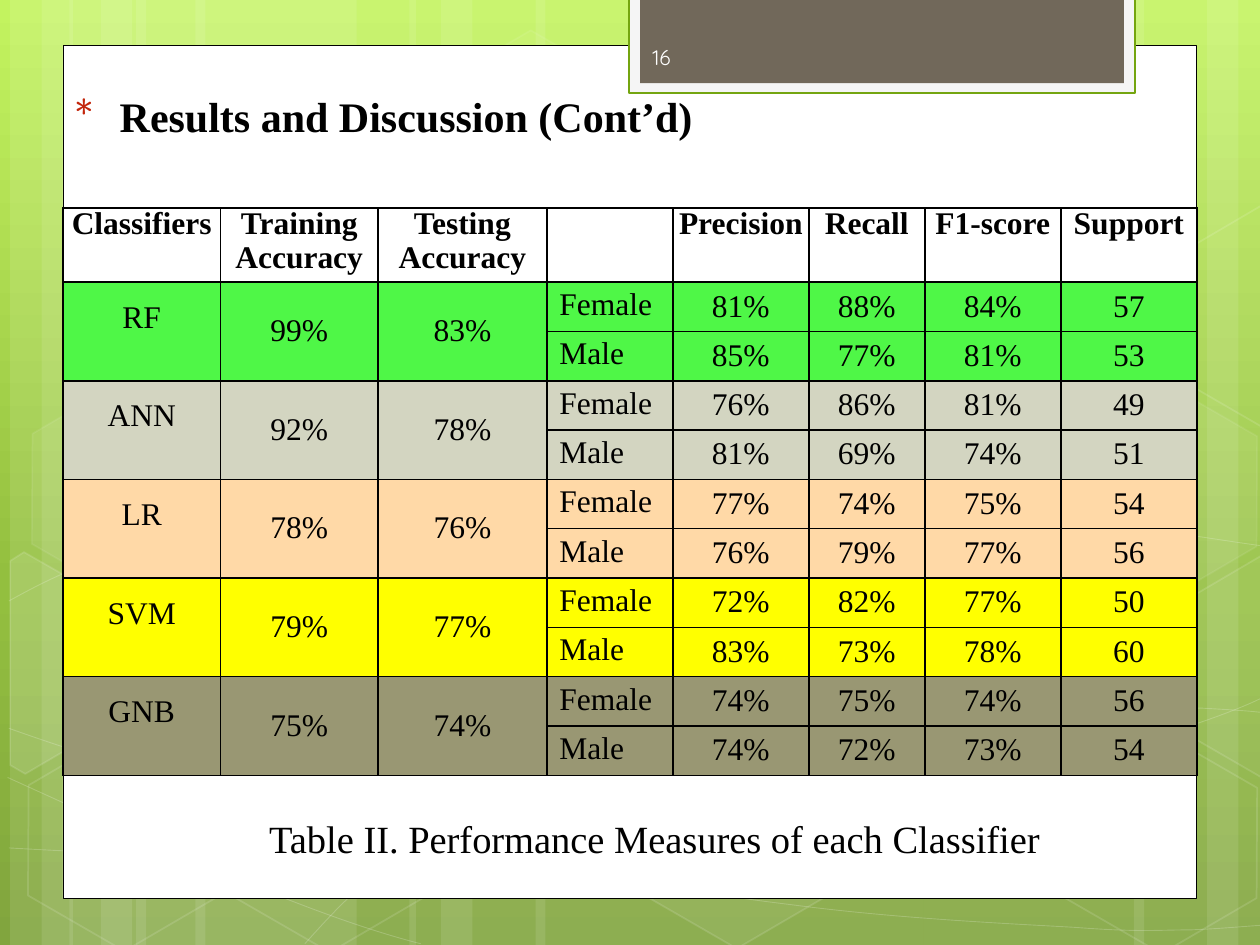
"""Build the classifier results slide with its green layered background."""
from copy import deepcopy
from dataclasses import dataclass
from math import cos, radians, sin
from typing import Optional

from lxml.etree import SubElement
from pptx import Presentation
from pptx.dml.color import RGBColor
from pptx.enum.shapes import MSO_SHAPE as Preset
from pptx.enum.text import MSO_ANCHOR as Anchor, MSO_AUTO_SIZE as AutoSize, PP_ALIGN as Align
from pptx.oxml.ns import qn
from pptx.util import Inches, Pt

COLORS = {
    "white": "FFFFFF", "black": "000000", "lime": "C3F35F", "leaf": "93BF3F",
    "moss": "81A53E", "tab": "F5F5F5", "tab_line": "74A510", "taupe": "71685A",
    "number": "FEFEFE", "bullet": "C3260C", "RF": "4FF747", "ANN": "D3D5C1",
    "LR": "FFD9A7", "SVM": "FFFF00", "GNB": "999773",
}
SERIF, SANS = "Times New Roman", "Quicksand"
TILT = 30
Points = list[tuple[float, float]]


@dataclass
class Paint:
    fill: Optional[str] = None
    fill_alpha: int = 100
    line: Optional[str] = None
    width: float = 1
    line_alpha: int = 100


@dataclass
class Hexagon:
    left: float
    top: float
    fill_alpha: int
    line_alpha: int


@dataclass
class Classifier:
    name: str
    training: str
    testing: str
    female: list[str]
    male: list[str]


GRADIENT = [(0, "lime"), (0.62, "leaf"), (1, "moss")]
BANDS = [(1.08, 1.75), (0.08, 0.5), (0.33, 0.83), (1.55, 1.75), (0.55, 0.5), (0.8, 0.83),
         (7.33, 1.75), (9.58, 0.5), (9, 0.83), (4.25, 3.08), (3.25, 0.5), (3.5, 0.83)]
CURVES = [
    [(0.07, 6.73), (0.61, 6.76), (1.15, 6.79), (1.9, 6.78), (2.65, 6.77), (3.58, 6.75),
     (4.58, 6.65), (5.58, 6.55), (7, 6.36), (7.92, 6.17), (8.83, 5.98), (9.77, 5.68), (10.07, 5.51)],
    [(0.07, 4.77), (0.36, 4.61), (0.65, 4.46), (1.21, 4.31), (1.78, 4.16), (2.59, 3.94),
     (3.47, 3.87), (4.36, 3.8), (5.44, 3.79), (6.54, 3.87), (7.64, 3.95), (9.47, 4.26), (10.07, 4.34)],
    [(0.06, 6.17), (1.27, 6.72), (2.47, 7.27), (3.34, 7.49)],
    [(0.07, 5.78), (0.38, 5.89), (0.7, 6), (1.28, 6.16), (1.86, 6.31), (2.73, 6.56),
     (3.57, 6.73), (4.4, 6.9), (5.45, 7.08), (6.28, 7.18), (7.11, 7.29), (8, 7.33),
     (8.53, 7.36), (9.05, 7.4), (9.19, 7.38), (9.45, 7.38), (9.71, 7.37), (9.89, 7.35), (10.07, 7.34)],
    [(2.42, 7.49), (2.6, 7.29), (2.78, 7.09), (3.02, 6.91), (3.26, 6.73), (3.6, 6.53),
     (3.88, 6.39), (4.16, 6.25), (4.33, 6.19), (4.7, 6.09), (5.06, 5.99), (5.73, 5.85),
     (6.08, 5.78), (6.44, 5.71), (6.49, 5.71), (6.8, 5.69), (7.11, 5.66), (7.6, 5.63),
     (7.94, 5.62), (8.29, 5.61), (8.86, 5.62), (8.86, 5.62), (9.08, 5.62), (9.31, 5.62),
     (9.53, 5.62), (9.71, 5.63), (9.88, 5.64), (9.97, 5.65), (10.06, 5.66), (10.03, 5.65), (10.06, 5.66)],
]
HEXAGONS = [
    Hexagon(3.34, 0.36, 4, 8), Hexagon(4.97, 5.89, 6, 12), Hexagon(0.11, 5.91, 0, 12),
    Hexagon(0.14, 3.12, 7, 8), Hexagon(1.74, 5.92, 0, 12), Hexagon(7.53, 4.53, 10, 12),
    Hexagon(8.34, 5.93, 0, 12), Hexagon(8.34, 3.14, 7, 8),
]
LEFT_PIECE = [(0.08, 4.45), (0.19, 4.38), (0.96, 4.82), (0.95, 5.7), (0.2, 6.14), (0.08, 6.07)]
RIGHT_PIECE = [(9.26, 4.85), (10.01, 4.41), (10.09, 4.46), (10.09, 6.13), (10.02, 6.17), (9.26, 5.73)]
UPPER_PIECE = [(x, y - 2.78) for x, y in RIGHT_PIECE]
PIECES = [(LEFT_PIECE, (0.36, 5.35), 10), (RIGHT_PIECE, (9.85, 5.2), 4), (UPPER_PIECE, (9.85, 2.41), 0)]
HEADERS = ["Classifiers", "Training Accuracy", "Testing\nAccuracy", "",
           "Precision", "Recall", "F1-score", "Support"]
CLASSIFIERS = [
    Classifier("RF", "99%", "83%", ["81%", "88%", "84%", "57"], ["85%", "77%", "81%", "53"]),
    Classifier("ANN", "92%", "78%", ["76%", "86%", "81%", "49"], ["81%", "69%", "74%", "51"]),
    Classifier("LR", "78%", "76%", ["77%", "74%", "75%", "54"], ["76%", "79%", "77%", "56"]),
    Classifier("SVM", "79%", "77%", ["72%", "82%", "77%", "50"], ["83%", "73%", "78%", "60"]),
    Classifier("GNB", "75%", "74%", ["74%", "75%", "74%", "56"], ["74%", "72%", "73%", "54"]),
]
COLUMNS = [1.25, 1.25, 1.34, 1, 1.08, 0.92, 1.08, 1.08]
ROWS = [0.59] + [0.37] * 2 + [0.39] * 8


def rgb(name: str) -> RGBColor:
    return RGBColor.from_string(COLORS[name])


def set_alpha(parent, percent: int) -> None:
    if percent < 100:
        color = parent.find(qn("a:solidFill")).find(qn("a:srgbClr"))
        SubElement(color, qn("a:alpha"), val=str(percent * 1000))


def apply_paint(shape, paint: Paint) -> None:
    shape.shadow.inherit = False
    properties = shape.element.spPr
    if paint.fill and paint.fill_alpha:
        shape.fill.solid()
        shape.fill.fore_color.rgb = rgb(paint.fill)
        set_alpha(properties, paint.fill_alpha)
    else:
        shape.fill.background()
    if paint.line:
        shape.line.color.rgb = rgb(paint.line)
        shape.line.width = Pt(paint.width)
        set_alpha(properties.find(qn("a:ln")), paint.line_alpha)
    else:
        shape.line.fill.background()


def add_preset(slide, preset, box: tuple, paint: Paint):
    shape = slide.shapes.add_shape(preset, *map(Inches, box))
    apply_paint(shape, paint)
    return shape


def add_outline(slide, points: Points, paint: Paint, close: bool):
    corners = [(Inches(x), Inches(y)) for x, y in points]
    builder = slide.shapes.build_freeform(*corners[0])
    builder.add_line_segments(corners[1:], close=close)
    shape = builder.convert_to_shape()
    apply_paint(shape, paint)
    return shape


def add_curve(slide, points: Points, paint: Paint) -> None:
    shape = add_outline(slide, points, paint, False)
    outline = next(shape.element.iter(qn("a:path")))
    segments = outline.findall(qn("a:lnTo"))
    for index in range(0, len(segments), 3):
        curve = SubElement(outline, qn("a:cubicBezTo"))
        for segment in segments[index:index + 3]:
            curve.append(segment[0])
            outline.remove(segment)


def untilt(points: Points, center: tuple) -> Points:
    cosine, sine = cos(radians(TILT)), sin(radians(TILT))
    offsets = [(x - center[0], y - center[1]) for x, y in points]
    return [(center[0] + x * cosine + y * sine, center[1] - x * sine + y * cosine) for x, y in offsets]


def write_text(frame, text: str, *, size: float, font: str = SERIF, color: str = "black",
               bold: bool = False, align=Align.LEFT, spacing: float = 1.0) -> None:
    frame.text = text
    for paragraph in frame.paragraphs:
        paragraph.alignment = align
        paragraph.line_spacing = spacing
        for run in paragraph.runs:
            run.font.size = Pt(size)
            run.font.name = font
            run.font.bold = bold
            run.font.color.rgb = rgb(color)


def format_cell(cell, text: str, *, fill: Optional[str] = None, bold: bool = False,
                align=Align.CENTER, anchor=Anchor.MIDDLE, margins: tuple = (0.1, 0.05)) -> None:
    properties = cell._tc.get_or_add_tcPr()
    for side in ("L", "R", "T", "B"):
        line = SubElement(properties, qn(f"a:ln{side}"), w=str(Pt(1)))
        SubElement(SubElement(line, qn("a:solidFill")), qn("a:srgbClr"), val=COLORS["black"])
    if fill:
        cell.fill.solid()
        cell.fill.fore_color.rgb = rgb(fill)
    else:
        cell.fill.background()
    cell.vertical_anchor = anchor
    cell.margin_left = cell.margin_right = Inches(margins[0])
    cell.margin_top = cell.margin_bottom = Inches(margins[1])
    write_text(cell.text_frame, text, size=18, bold=bold, align=align, spacing=0.97)


def add_background(slide) -> None:
    fill = slide.background.fill
    fill.gradient()
    fill.gradient_angle = 270
    stops = next(slide.element.iter(qn("a:gsLst")))
    stops.append(deepcopy(stops[-1]))
    for stop, (position, color) in zip(fill.gradient_stops, GRADIENT):
        stop.position = position
        stop.color.rgb = rgb(color)
    for left, width in BANDS:
        add_preset(slide, Preset.RECTANGLE, (left, 0, width, 7.5), Paint("white", 10))
    for curve in CURVES:
        add_curve(slide, curve, Paint(line="white", width=0.5, line_alpha=20))
    for item in HEXAGONS:
        paint = Paint("white", item.fill_alpha, "white", 1, item.line_alpha)
        hexagon = add_preset(slide, Preset.HEXAGON, (item.left, item.top, 1.75, 1.52), paint)
        hexagon.adjustments[0] = 0.285
        hexagon.rotation = TILT
    for points, center, alpha in PIECES:
        piece = add_outline(slide, untilt(points, center), Paint("white", alpha, "white", 1, 12), True)
        piece.rotation = TILT


def add_results_table(slide) -> None:
    box = map(Inches, (0.5, 1.65, sum(COLUMNS), sum(ROWS)))
    table = slide.shapes.add_table(len(ROWS), len(COLUMNS), *box).table
    table.first_row = table.horz_banding = False
    for column, width in zip(table.columns, COLUMNS):
        column.width = Inches(width)
    for row, height in zip(table.rows, ROWS):
        row.height = Inches(height)
    for index, header in enumerate(HEADERS):
        format_cell(table.cell(0, index), header, bold=True, anchor=Anchor.TOP, margins=(0, 0))
    for top, item in zip(range(1, len(ROWS), 2), CLASSIFIERS):
        for index, text in enumerate((item.name, item.training, item.testing)):
            table.cell(top, index).merge(table.cell(top + 1, index))
            anchor = Anchor.MIDDLE if index else Anchor.TOP
            format_cell(table.cell(top, index), text, fill=item.name, anchor=anchor, margins=(0.15, 0.15))
            format_cell(table.cell(top + 1, index), "", fill=item.name, margins=(0, 0))
        for row, (label, values) in enumerate((("Female", item.female), ("Male", item.male)), top):
            format_cell(table.cell(row, 3), label, fill=item.name, align=Align.LEFT, anchor=Anchor.TOP)
            for index, value in enumerate(values, 4):
                format_cell(table.cell(row, index), value, fill=item.name)


def fit_frame(frame) -> None:
    frame.word_wrap = False
    frame.auto_size = AutoSize.SHAPE_TO_FIT_TEXT


def add_title(slide) -> None:
    title = slide.shapes.title
    slide.shapes.element.append(title.element)
    title.left, title.top, title.width, title.height = map(Inches, (0.5, 0.67, 5.15, 0.5))
    write_text(title.text_frame, "Results and Discussion (Cont’d)", size=24, bold=True)
    fit_frame(title.text_frame)
    title.text_frame.vertical_anchor = Anchor.TOP
    properties = title.text_frame.paragraphs[0]._p.get_or_add_pPr()
    properties.set("marL", str(Inches(0.35)))
    properties.set("indent", str(-Inches(0.35)))
    SubElement(SubElement(properties, qn("a:buClr")), qn("a:srgbClr"), val=COLORS["bullet"])
    SubElement(properties, qn("a:buSzPct"), val="128000")
    SubElement(properties, qn("a:buFont"), typeface=SANS)
    SubElement(properties, qn("a:buChar"), char="*")


def add_label(slide, text: str, box: tuple, **text_format):
    frame = slide.shapes.add_textbox(*map(Inches, box)).text_frame
    frame.vertical_anchor = Anchor.MIDDLE
    write_text(frame, text, **text_format)
    return frame


def main() -> None:
    presentation = Presentation()
    presentation.slide_width, presentation.slide_height = Inches(10), Inches(7.5)
    slide = presentation.slides.add_slide(presentation.slide_layouts[5])
    add_background(slide)
    add_preset(slide, Preset.RECTANGLE, (0.5, 0.36, 9, 6.77), Paint("white", line="black", width=0.5))
    add_preset(slide, Preset.RECTANGLE, (4.99, -0.02, 4.02, 0.76), Paint("tab", line="tab_line", width=1.25))
    add_preset(slide, Preset.RECTANGLE, (5.08, -0.02, 3.84, 0.68), Paint("taupe"))
    number = add_label(slide, "16", (5.08, 0.25, 1.46, 0.4), size=12, font=SANS, color="number")
    number.word_wrap = True
    add_results_table(slide)
    add_title(slide)
    caption = add_label(slide, "Table II. Performance Measures of each Classifier", (2, 6.42, 6.39, 0.47),
                        size=22, align=Align.CENTER)
    fit_frame(caption)
    presentation.save("out.pptx")


if __name__ == "__main__":
    main()
